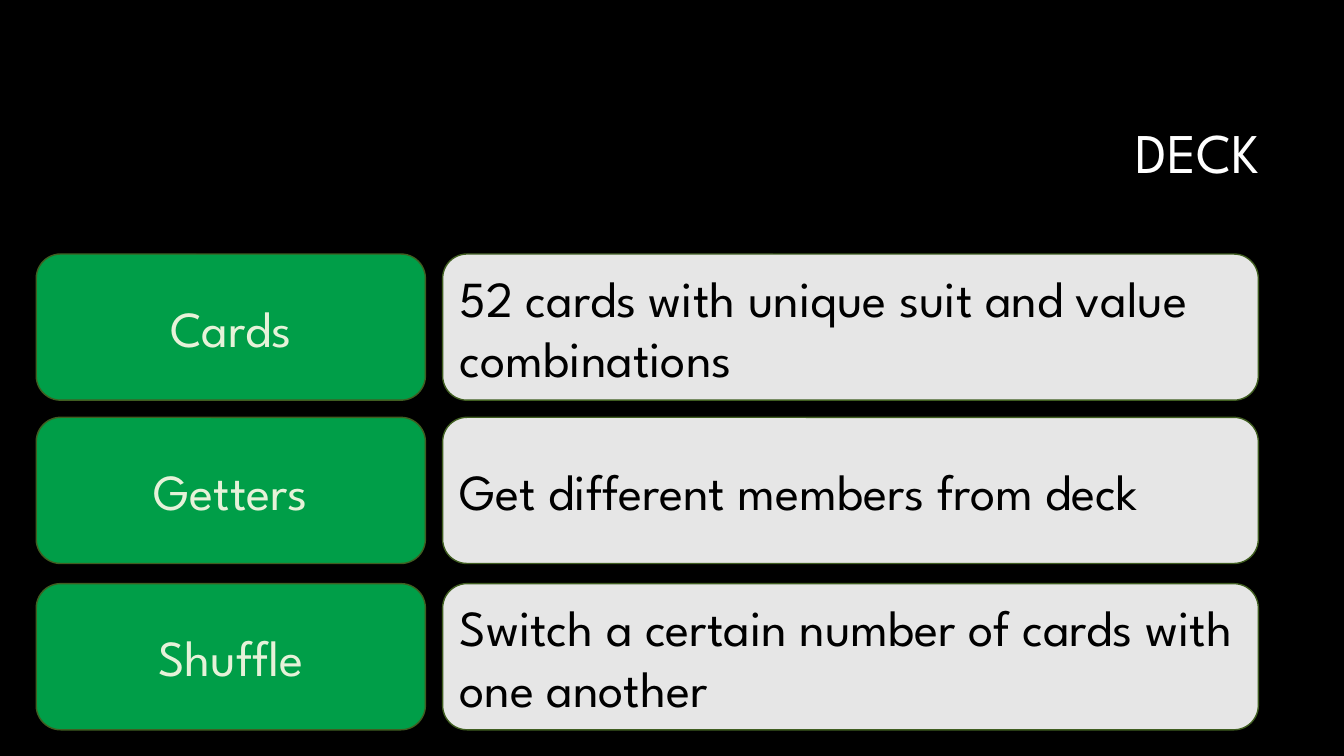
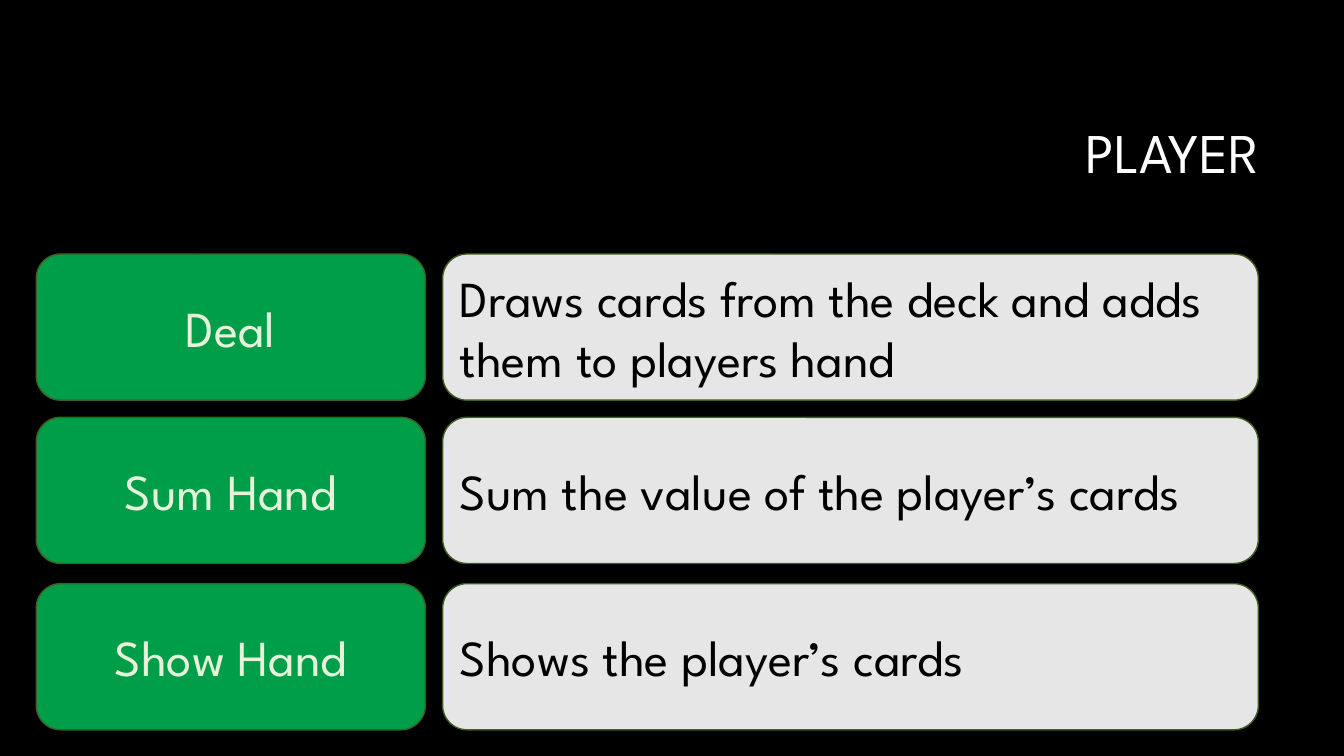
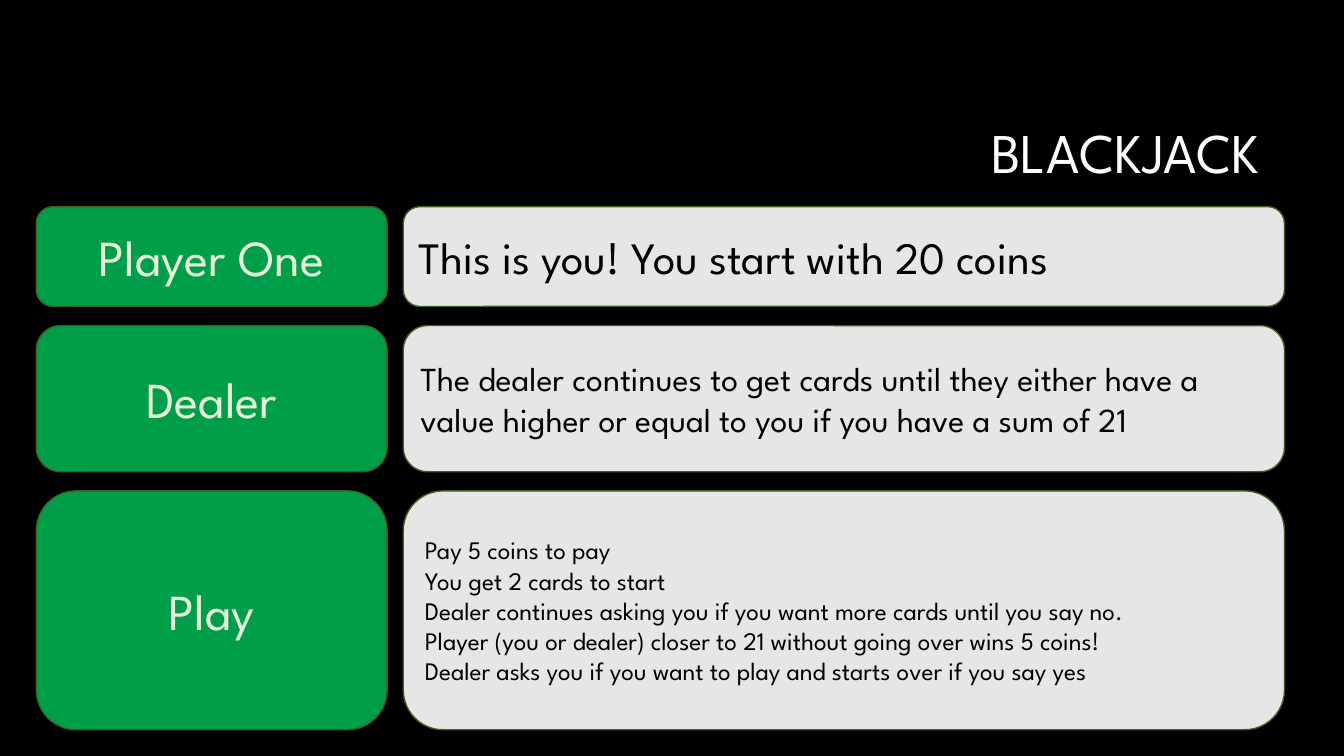
from dataclasses import dataclass

from lxml.etree import SubElement
from pptx import Presentation
from pptx.dml.color import RGBColor
from pptx.enum.shapes import MSO_SHAPE
from pptx.enum.text import MSO_ANCHOR, PP_ALIGN
from pptx.oxml.ns import qn
from pptx.slide import Slide
from pptx.text.text import TextFrame
from pptx.util import Inches, Pt

# Shared style
FONT = "League Spartan"
BLACK = "000000"
WHITE = "FFFFFF"
GREEN = "00B050"
PALE_GREEN = "E6F2D9"
OUTLINE = "405E21"
FILL_OPACITY = 90
TITLE_SIZE = 40
LABEL_SIZE = 36


@dataclass(frozen=True)
class Layout:
    """Column edges and (top, height) of each row, in inches."""
    label_width: float
    detail_left: float
    detail_width: float
    rows: tuple[tuple[float, float], ...]
    label_left: float = 0.36


@dataclass(frozen=True)
class Topic:
    label: str
    detail: str
    detail_size: int = 36


@dataclass(frozen=True)
class Section:
    title: str
    layout: Layout
    topics: tuple[Topic, ...]


# Content
CLASS_LAYOUT = Layout(3.86, 4.39, 8.09, ((2.52, 1.45), (4.14, 1.45), (5.79, 1.45)))
GAME_LAYOUT = Layout(3.48, 4, 8.74, ((2.05, 0.99), (3.23, 1.45), (4.87, 2.37)))

SECTIONS = (
    Section("DECK", CLASS_LAYOUT, (
        Topic("Cards", "52 cards with unique suit and value combinations"),
        Topic("Getters", "Get different members from deck"),
        Topic("Shuffle", "Switch a certain number of cards with one another"),
    )),
    Section("PLAYER", CLASS_LAYOUT, (
        Topic("Deal", "Draws cards from the deck and adds them to players hand"),
        Topic("Sum Hand", "Sum the value of the player’s cards"),
        Topic("Show Hand", "Shows the player’s cards"),
    )),
    Section("BLACKJACK", GAME_LAYOUT, (
        Topic("Player One", "This is you! You start with 20 coins", 32),
        Topic("Dealer", "The dealer continues to get cards until they either have a "
              "value higher or equal to you if you have a sum of 21", 24),
        Topic("Play", "Pay 5 coins to pay\n"
              "You get 2 cards to start\n"
              "Dealer continues asking you if you want more cards until you say no.\n"
              "Player (you or dealer) closer to 21 without going over wins 5 coins!\n"
              "Dealer asks you if you want to play and starts over if you say yes", 18),
    )),
)


# Drawing functions
def color(value: str) -> RGBColor:
    return RGBColor.from_string(value)


def write_text(frame: TextFrame, text: str, size: int, ink: str,
               align: PP_ALIGN, line_spacing: float = 1.0) -> None:
    frame.text = text
    frame.word_wrap = True
    frame.vertical_anchor = MSO_ANCHOR.MIDDLE
    for para in frame.paragraphs:
        para.alignment = align
        para.line_spacing = line_spacing
        for span in para.runs:
            span.font.name = FONT
            span.font.size = Pt(size)
            span.font.color.rgb = color(ink)


def add_title(page: Slide, text: str) -> None:
    box = page.shapes.add_textbox(Inches(3.17), Inches(0.84), Inches(9.42), Inches(1.41))
    write_text(box.text_frame, text, TITLE_SIZE, WHITE, PP_ALIGN.RIGHT, 0.9)


def add_card(page: Slide, left: float, top: float, width: float, height: float,
             fill: str, text: str, size: int, ink: str, align: PP_ALIGN) -> None:
    box = page.shapes.add_shape(MSO_SHAPE.ROUNDED_RECTANGLE, Inches(left), Inches(top),
                                Inches(width), Inches(height))
    box.shadow.inherit = False
    box.fill.solid()
    box.fill.fore_color.rgb = color(fill)
    fill_color = box.fill._xPr.find(qn("a:solidFill")).find(qn("a:srgbClr"))
    SubElement(fill_color, qn("a:alpha")).set("val", str(FILL_OPACITY * 1000))
    box.line.color.rgb = color(OUTLINE)
    box.line.width = Pt(1)
    write_text(box.text_frame, text, size, ink, align)


def add_section(deck: Presentation, section: Section) -> None:
    page = deck.slides.add_slide(deck.slide_layouts[6])
    page.background.fill.solid()
    page.background.fill.fore_color.rgb = color(BLACK)
    add_title(page, section.title)
    layout = section.layout
    for (top, height), topic in zip(layout.rows, section.topics):
        add_card(page, layout.label_left, top, layout.label_width, height,
                 GREEN, topic.label, LABEL_SIZE, PALE_GREEN, PP_ALIGN.CENTER)
        add_card(page, layout.detail_left, top, layout.detail_width, height,
                 WHITE, topic.detail, topic.detail_size, BLACK, PP_ALIGN.LEFT)


# Build the deck
deck = Presentation()
deck.slide_width = Inches(13.33)
deck.slide_height = Inches(7.5)
for section in SECTIONS:
    add_section(deck, section)
deck.save("out.pptx")
